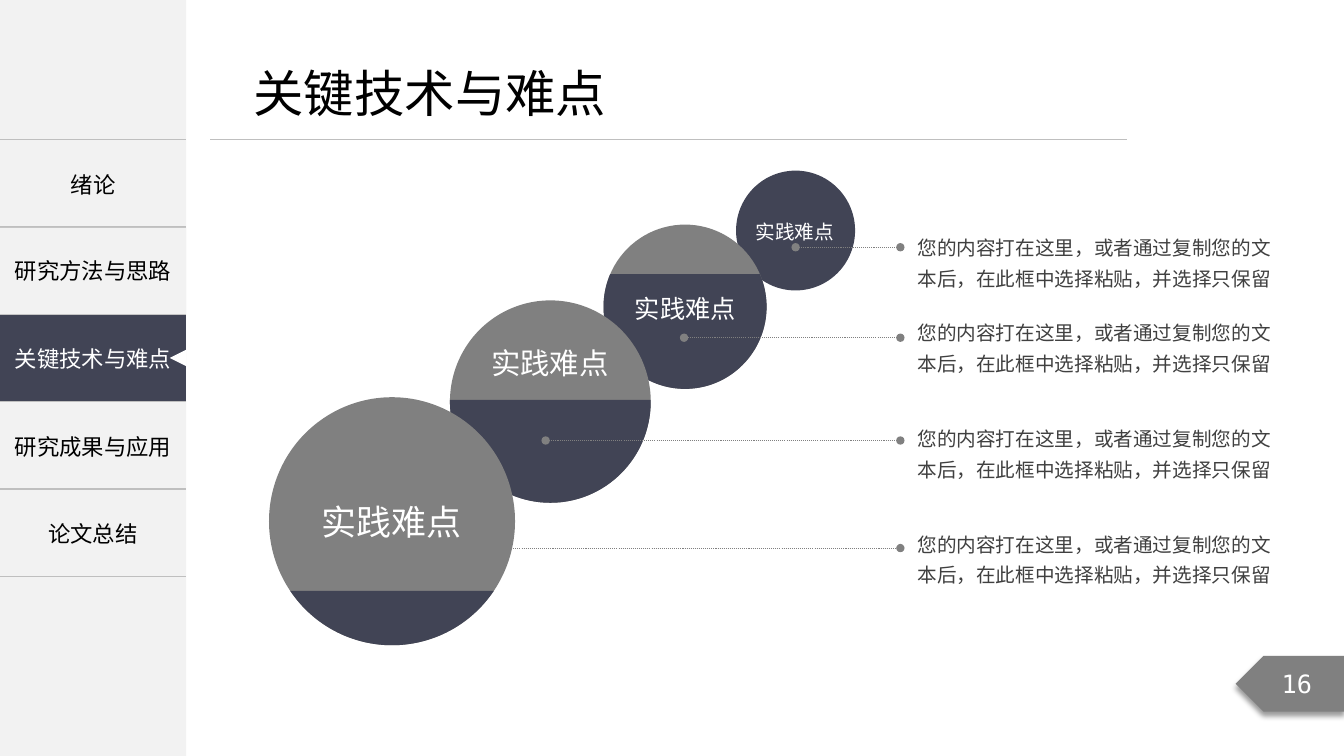
from math import asin, cos, pi, sin, tan

from lxml.etree import SubElement, fromstring
from pptx import Presentation
from pptx.dml.color import RGBColor as RGB
from pptx.enum.dml import MSO_LINE as Dash
from pptx.enum.shapes import MSO_CONNECTOR as Conn, MSO_SHAPE as Kind
from pptx.enum.text import MSO_ANCHOR as Anchor, MSO_AUTO_SIZE as Auto, PP_ALIGN as Align
from pptx.oxml.ns import nsdecls, qn
from pptx.util import Cm, Pt

# Content
TITLE = "关键技术与难点"
PAGE = "16"
MENU = ["绪论", "研究方法与思路", "关键技术与难点", "研究成果与应用", "论文总结"]
CARD, ACTIVE = 1, 2  # menu rows shown as a separate card and as the current chapter
LABEL = "实践难点"
NOTE = "您的内容打在这里，或者通过复制您的文本后，在此框中选择粘贴，并选择只保留"

# Back to front, in cm: circle box, top of its dark part, label box, label size,
# start of the link, top of the note
STEPS = [
    dict(ball=(18.55, 4.3, 3, 3.02), cut=4.3, label=(18.81, 5.41, 2.5, 0.84),
         size=14, link=(20.05, 6.23), note=5.67),
    dict(ball=(15.21, 5.66, 4.11, 4.14), cut=6.91, label=(15.77, 7.29, 3.04, 0.99),
         size=18, link=(17.24, 8.51), note=7.81),
    dict(ball=(11.34, 7.57, 5.06, 5.1), cut=10.08, label=(12.15, 8.59, 3.47, 1.12),
         size=21, link=(13.75, 11.1), note=10.48),
    dict(ball=(6.78, 10.01, 6.2, 6.25), cut=14.89, label=(7.87, 12.5, 4.03, 1.3),
         size=25, link=(9.88, 13.81), note=13.14),
]


class Theme:
    dark, grey, pale, rule = "414455", "808080", "F2F2F2", "BFBFBF"
    ink, body, white = "000000", "404040", "FFFFFF"
    font, mono = "Noto Sans CJK SC", "DejaVu Sans Mono"
    title, menu, page, note = 36, 16, 18, 14


WIDE, HIGH = 33.87, 19.05
SIDE, TOP, ROW = 4.69, 3.52, 2.2
LINK_END, NOTE_X = 22.69, 22.89

deck = Presentation()
deck.slide_width, deck.slide_height = Cm(WIDE), Cm(HIGH)
slide = deck.slides.add_slide(deck.slide_layouts[6])
shapes = slide.shapes


def write(frame, text, size=14, color=Theme.ink, font=Theme.font,
          align=Align.LEFT, space=None):
    para = frame.paragraphs[0]
    para.alignment = align
    if space:
        para.line_spacing = space
    run = para.add_run()
    run.text = text
    run.font.size = Pt(size)
    run.font.color.rgb = RGB.from_string(color)
    run.font.name = font
    SubElement(run.font._element, qn("a:ea")).set("typeface", font)


def paint(shape, color):
    shape.shadow.inherit = False
    shape.fill.solid()
    shape.fill.fore_color.rgb = RGB.from_string(color)
    shape.line.fill.background()
    return shape


def block(kind, box, color):
    shape = paint(shapes.add_shape(kind, *map(Cm, box)), color)
    shape.text_frame.vertical_anchor = Anchor.MIDDLE
    return shape


def label(box, text, wrap=False, anchor=Anchor.TOP, inset=(0.23, 0.1), **style):
    frame = shapes.add_textbox(*map(Cm, box)).text_frame
    frame.word_wrap = wrap
    frame.auto_size = Auto.SHAPE_TO_FIT_TEXT
    frame.vertical_anchor = anchor
    frame.margin_left = frame.margin_right = Cm(inset[0])
    frame.margin_top = frame.margin_bottom = Cm(inset[1])
    write(frame, text, **style)


def rule(start, end, color, width, dots=False):
    line = shapes.add_connector(Conn.STRAIGHT, *map(Cm, start + end))
    line.line.color.rgb = RGB.from_string(color)
    line.line.width = Pt(width)
    if dots:
        line.line.dash_style = Dash.ROUND_DOT
        for tag in ("a:headEnd", "a:tailEnd"):
            SubElement(line.line._get_or_add_ln(), qn(tag)).set("type", "oval")
    SubElement(line._element.spPr, qn("a:effectLst"))


def edge(cell):
    props = cell._tc.get_or_add_tcPr()
    none = "<a:noFill/>"
    solid = f'<a:solidFill><a:srgbClr val="{Theme.rule}"/></a:solidFill>'
    for i, (side, fill) in enumerate(zip("LRTB", (none, none, solid, solid))):
        props.insert(i, fromstring(
            f'<a:ln{side} {nsdecls("a")} w="12700">{fill}</a:ln{side}>'))


def dip(ball, cut):
    """Fill the part of a circle below the cut, with one curve per quarter."""
    x, y, w, h = ball
    a = asin((cut - y) / h * 2 - 1)
    turns = [a, 0, pi / 2, pi, pi - a] if a < 0 else [a, pi / 2, pi - a]

    def spot(t, pull=0):
        return (Cm(x + w / 2 * (1 + cos(t) - pull * sin(t))),
                Cm(y + h / 2 * (1 + sin(t) + pull * cos(t))))

    points = [spot(t) for t in turns]
    path = shapes.build_freeform(*points[0])
    path.add_line_segments(points[1:], close=True)
    shape = paint(path.convert_to_shape(), Theme.dark)
    sides = list(shape._element.iter(qn("a:lnTo")))
    for side, t, u in zip(sides, turns, turns[1:]):
        pull = 4 / 3 * tan((u - t) / 4)
        side.tag = qn("a:cubicBezTo")
        for i, (px, py) in enumerate((spot(t, pull), spot(u, -pull))):
            side.insert(i, fromstring(f'<a:pt {nsdecls("a")} x="{px - shape.left}" '
                                      f'y="{py - shape.top}"/>'))


# Side menu
block(Kind.RECTANGLE, (0, 0, SIDE, HIGH), Theme.pale)
table = shapes.add_table(len(MENU), 1, 0, Cm(TOP), Cm(SIDE), Cm(ROW * len(MENU))).table
table.first_row = table.horz_banding = False
for i, name in enumerate(MENU):
    cell = table.cell(i, 0)
    cell.vertical_anchor = Anchor.MIDDLE
    if i == ACTIVE:
        cell.fill.solid()
        cell.fill.fore_color.rgb = RGB.from_string(Theme.dark)
    else:
        cell.fill.background()
    edge(cell)
    frame = cell.text_frame
    if i == CARD:
        card = (0, TOP + ROW * i + 0.02, SIDE, ROW - 0.02)
        frame = block(Kind.RECTANGLE, card, Theme.pale).text_frame
    write(frame, name, size=Theme.menu, align=Align.CENTER,
          color=Theme.white if i == ACTIVE else Theme.ink)

# Title and page flag
rule((5.3, TOP), (28.4, TOP), Theme.rule, 0.5)
label((6.14, 1.44, 9.5, 1.8), TITLE, size=Theme.title, inset=(0.25, 0.13))
flag = block(Kind.PENTAGON, (31.14, 16.53, 2.74, 1.4), Theme.grey)
flag._element.spPr.xfrm.set("flipH", "1")
flag._element.spPr.find(qn("a:effectLst")).append(fromstring(
    f'<a:outerShdw {nsdecls("a")} blurRad="{Pt(4)}" dist="{Pt(3)}" dir="5400000" '
    'algn="t" rotWithShape="0"><a:srgbClr val="000000"><a:alpha val="40000"/>'
    '</a:srgbClr></a:outerShdw>'))
write(flag.text_frame, PAGE, size=Theme.page, color=Theme.white,
      font=Theme.mono, align=Align.CENTER)

# Pointer of the current chapter
tip = 0.41
mark = block(Kind.ISOSCELES_TRIANGLE,
             (SIDE - tip, TOP + ROW * (ACTIVE + 0.5) - tip / 2, tip, tip), Theme.white)
mark.rotation = 270

# Circles
for step in STEPS:
    ball, cut = step["ball"], step["cut"]
    full = cut == ball[1]
    block(Kind.OVAL, ball, Theme.dark if full else Theme.grey)
    if not full:
        dip(ball, cut)

# Links, labels and notes
for step in STEPS:
    rule(step["link"], (LINK_END, step["link"][1]), Theme.grey, 0.75, dots=True)
    label(step["label"], LABEL, anchor=Anchor.MIDDLE, size=step["size"],
          color=Theme.white)
    label((NOTE_X, step["note"], 9.5, 1.78), NOTE, wrap=True, size=Theme.note,
          color=Theme.body, space=1.3)

deck.save("out.pptx")
